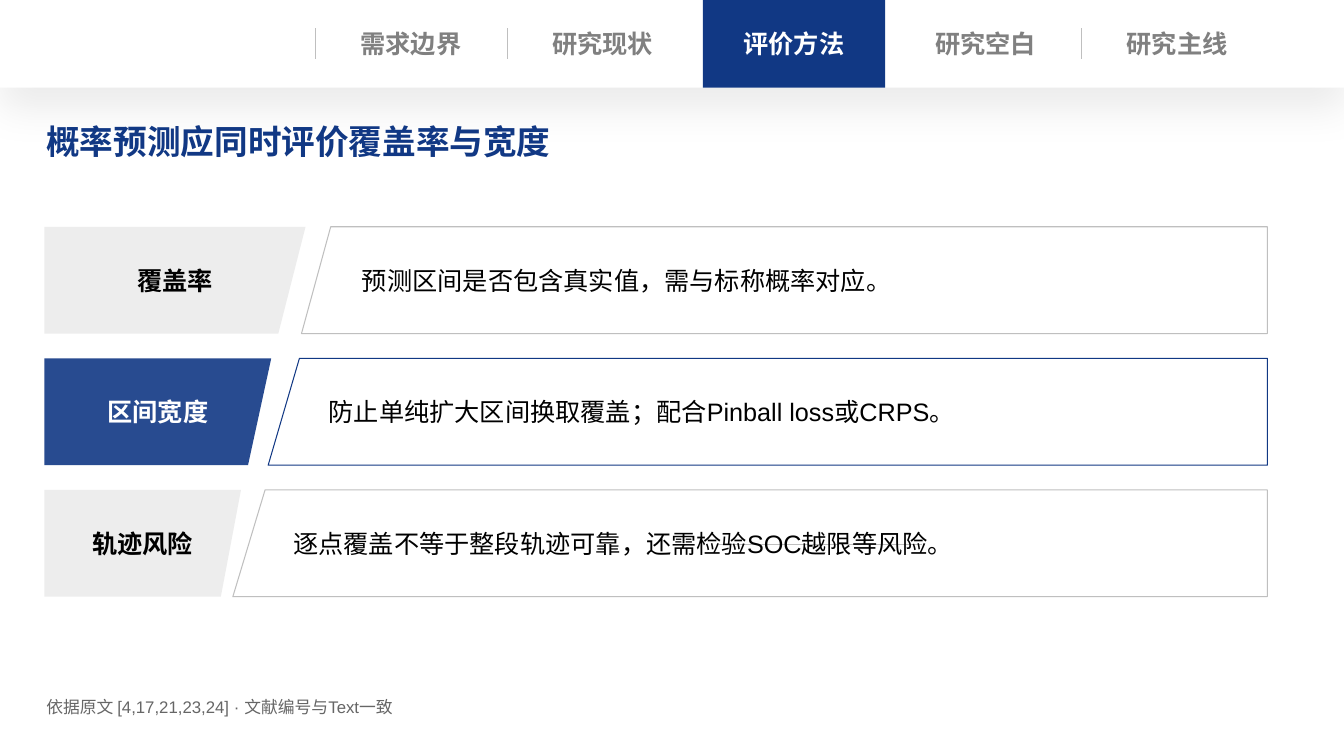
from dataclasses import dataclass

from lxml.etree import SubElement
from pptx import Presentation
from pptx.dml.color import RGBColor
from pptx.enum.shapes import MSO_CONNECTOR as CONN, MSO_SHAPE as SHAPE
from pptx.enum.text import MSO_ANCHOR as ANCHOR, MSO_AUTO_SIZE as AUTOSIZE, PP_ALIGN as ALIGN
from pptx.oxml.ns import qn
from pptx.util import Inches, Pt


@dataclass(frozen=True)
class Theme:
    font: str = "Arial"
    navy: str = "113884"
    white: str = "FFFFFF"
    black: str = "000000"
    panel: str = "EDEDED"
    rule: str = "BFBFBF"
    muted: str = "808080"
    note: str = "666666"
    title_size: int = 24
    body_size: int = 18
    note_size: int = 12
    line_width: float = 0.75


def rgb(code):
    return RGBColor.from_string(code)


class Deck:
    def __init__(self, theme):
        self.theme = theme
        self.prs = Presentation()
        self.prs.slide_width = Inches(13.33)
        self.prs.slide_height = Inches(7.5)
        self.slide = self.prs.slides.add_slide(self.prs.slide_layouts[5])
        self.shapes = self.slide.shapes
        background = self.slide.background.fill
        background.solid()
        background.fore_color.rgb = rgb(theme.white)

    def set_text(self, sp, text, size, color, bold=False, align=ALIGN.LEFT, left=0, top=0):
        tf = sp.text_frame
        tf.word_wrap = True
        tf.auto_size = AUTOSIZE.NONE
        tf.vertical_anchor = ANCHOR.TOP
        tf.margin_left, tf.margin_top = Inches(left), Inches(top)
        tf.margin_right = tf.margin_bottom = 0
        p = tf.paragraphs[0]
        p.alignment = align
        r = p.add_run()
        r.text = text
        r.font.name = self.theme.font
        r.font.size = Pt(size)
        r.font.bold = bold
        r.font.color.rgb = rgb(color)

    def paint(self, sp, fill=None, line=None, alpha=None):
        sp.shadow.inherit = False
        if fill:
            sp.fill.solid()
            sp.fill.fore_color.rgb = rgb(fill)
        else:
            sp.fill.background()
        if alpha:
            color = sp.element.spPr.find(qn("a:solidFill"))[0]
            SubElement(color, qn("a:alpha"), val=str(alpha * 1000))
        if line:
            sp.line.color.rgb = rgb(line)
            sp.line.width = Pt(self.theme.line_width)
        else:
            sp.line.fill.background()

    def title(self, text, x, y, w, h):
        sp = self.shapes.title
        sp.left, sp.top, sp.width, sp.height = map(Inches, (x, y, w, h))
        self.set_text(sp, text, self.theme.title_size, self.theme.navy, bold=True)
        sp.element.getparent().append(sp.element)

    def text(self, text, x, y, w, h, size, color, **style):
        sp = self.shapes.add_textbox(*map(Inches, (x, y, w, h)))
        self.set_text(sp, text, size, color, **style)

    def rect(self, x, y, w, h, fill):
        sp = self.shapes.add_shape(SHAPE.RECTANGLE, *map(Inches, (x, y, w, h)))
        self.paint(sp, fill)
        return sp

    def drop_shadow(self, sp, blur, dist, alpha):
        effects = sp.element.spPr.find(qn("a:effectLst"))
        shadow = SubElement(effects, qn("a:outerShdw"), blurRad=str(Pt(blur)), dist=str(Pt(dist)),
                            dir="5400000", algn="t", rotWithShape="0")
        color = SubElement(shadow, qn("a:srgbClr"), val=self.theme.black)
        SubElement(color, qn("a:alpha"), val=str(alpha * 1000))

    def line(self, x1, y1, x2, y2):
        cx = self.shapes.add_connector(CONN.STRAIGHT, *map(Inches, (x1, y1, x2, y2)))
        cx.line.color.rgb = rgb(self.theme.rule)
        cx.line.width = Pt(self.theme.line_width)
        SubElement(cx.element.spPr, qn("a:effectLst"))

    def polygon(self, points, **paint):
        start, *rest = [(Inches(x), Inches(y)) for x, y in points]
        builder = self.shapes.build_freeform(*start)
        builder.add_line_segments(rest, close=True)
        sp = builder.convert_to_shape()
        self.paint(sp, **paint)
        return sp

    def navigation(self, labels, active):
        t = self.theme
        height, first, pitch, width = 0.87, 3.44, 1.9, 1.27
        self.drop_shadow(self.rect(0, 0, 13.33, height, t.white), blur=28, dist=15, alpha=8)
        for i, label in enumerate(labels):
            x = first + i * pitch
            if i == active:
                self.rect(x - 0.27, 0, width + 0.54, height, t.navy)
            elif i != active + 1:
                self.line(x - 0.31, 0.28, x - 0.31, 0.59)
            color = t.white if i == active else t.muted
            self.text(label, x, 0.23, width, 0.4, t.body_size, color,
                      bold=True, align=ALIGN.CENTER, top=0.05)

    def row(self, y, label, detail, label_edge, detail_edge, highlight):
        t = self.theme
        left, right, bottom = 0.44, 12.57, y + 1.06
        label_top, label_bottom = label_edge
        detail_top, detail_bottom = detail_edge
        box = self.polygon([(detail_top, y), (right, y), (right, bottom), (detail_bottom, bottom)],
                           line=t.navy if highlight else t.rule)
        self.set_text(box, detail, t.body_size, t.black, left=0.6, top=0.38)
        tag = self.polygon([(left, y), (label_top, y), (label_bottom, bottom), (left, bottom)],
                           fill=t.navy if highlight else t.panel, alpha=90 if highlight else None)
        self.set_text(tag, label, t.body_size, t.white if highlight else t.black,
                      bold=True, align=ALIGN.CENTER, top=0.38)


def main():
    theme = Theme()
    deck = Deck(theme)
    deck.navigation(["需求边界", "研究现状", "评价方法", "研究空白", "研究主线"], active=2)
    deck.line(7.13, 5.4, 9.14, 5.4)
    rows = [
        ("覆盖率", "预测区间是否包含真实值，需与标称概率对应。", (3.03, 2.76), (3.28, 2.99)),
        ("区间宽度", "防止单纯扩大区间换取覆盖；配合Pinball loss或CRPS。", (2.69, 2.46), (2.97, 2.66)),
        ("轨迹风险", "逐点覆盖不等于整段轨迹可靠，还需检验SOC越限等风险。", (2.39, 2.19), (2.63, 2.31)),
    ]
    row_top, row_pitch = 2.25, 1.305
    for i, content in enumerate(rows):
        deck.row(row_top + i * row_pitch, *content, highlight=i == 1)
    deck.title("概率预测应同时评价覆盖率与宽度", 0.46, 1.2, 5.33, 0.51)
    deck.text("依据原文 [4,17,21,23,24] · 文献编号与Text一致", 0.46, 6.91, 4.1, 0.26,
              theme.note_size, theme.note)
    deck.prs.save("out.pptx")


if __name__ == "__main__":
    main()
